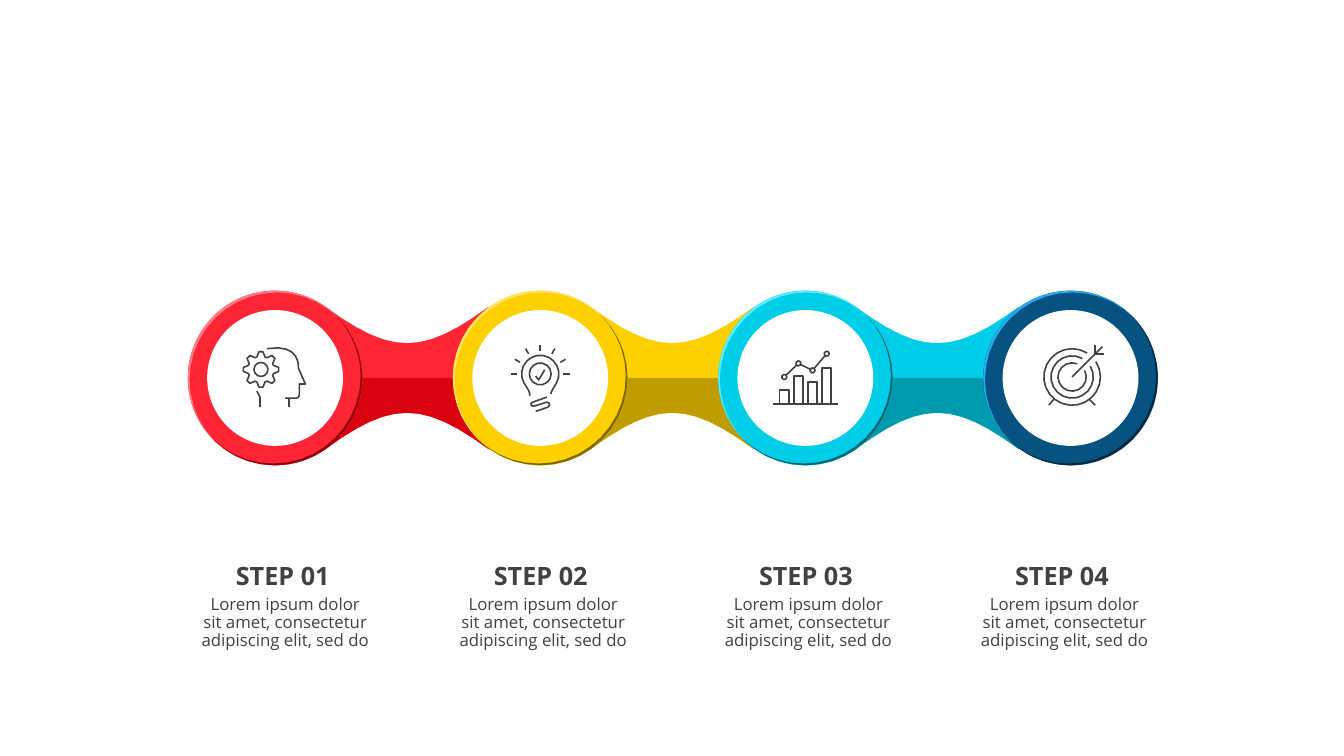
"""Build a slide with four linked ring steps, their icons and captions."""
from dataclasses import dataclass
from math import acos, ceil, cos, degrees, hypot, radians, sin

from pptx import Presentation
from pptx.dml import color
from pptx.enum import shapes, text
from pptx.util import Pt

Point = tuple[float, float]
Path = list[Point]


@dataclass(frozen=True)
class Stroke:
    points: Path
    closed: bool = False


@dataclass(frozen=True)
class Step:
    title: str
    title_left: float
    base: str
    shade: str
    light: str
    link_shade: str | None
    icon: list[Stroke]


INK = "414042"
FONT = "Open Sans"
BODY = "Lorem ipsum dolor sit amet, consectetur adipiscing elit, sed do"
FIRST_X, PITCH, CENTER_Y = 196.5, 189.4, 270
RING_R, HOLE_R, RIM_SHIFT = 62.4, 48.5, 1.3
LINK_START, LINK_WIDTH, LINK_HALF = 36, 116.5, 50.8
FLATNESS = 0.2


def rgb(value: str) -> color.RGBColor:
    return color.RGBColor.from_string(value)


def polar(cx: float, cy: float, radius: float, angle: float) -> Point:
    return cx + radius * cos(radians(angle)), cy + radius * sin(radians(angle))


def arc(cx: float, cy: float, radius: float, start: float, end: float) -> Path:
    widest = 2 * degrees(acos(1 - FLATNESS / radius))
    count = ceil(abs(end - start) / widest)
    return [polar(cx, cy, radius, start + (end - start) * i / count) for i in range(count + 1)]


def bezier(a: Point, b: Point, c: Point, d: Point, count: int) -> Path:
    def at(t: float) -> Point:
        u = 1 - t
        weights = (u ** 3, 3 * u * u * t, 3 * u * t * t, t ** 3)
        x, y = (sum(w * p[axis] for w, p in zip(weights, (a, b, c, d))) for axis in (0, 1))
        return x, y

    return [at(i / count) for i in range(count + 1)]


def circle(cx: float, cy: float, radius: float) -> Stroke:
    return Stroke(arc(cx, cy, radius, 0, 360)[:-1], True)


def head_icon() -> list[Stroke]:
    gear_x, gear_y = -10.1, -6.1
    tooth = ((9.4, -18), (12.7, -6.5), (12.7, 6.5), (9.4, 18))
    gear = [polar(gear_x, gear_y, r, 45 * i + turn) for i in range(8) for r, turn in tooth]
    brow = (16.6, -7.2)
    face = bezier((-5.8, -20.9), (18.7, -25.2), brow, brow, 8)
    face += [(21.6, 4.3), (17.3, 4.3), (17.3, 12.2), (16.7, 13.8), (15.1, 14.4), (7.2, 14.4)]
    return [
        Stroke(face),
        Stroke([(10.1, 14.4), (10.1, 20.9)]),
        Stroke([(-10.8, 20.9), (-10.8, 13.7), (-13, 9.4)]),
        Stroke(gear, True),
        circle(gear_x, gear_y, 5),
    ]


def bulb_icon() -> list[Stroke]:
    middle = -2.9
    dome = arc(0, middle, 13.3, 150, 390)
    left = bezier((-7.6, 13), (-6.9, 10.8), (-8.3, 8.6), dome[0], 4)
    right = bezier(dome[-1], (9, 7.9), (7.6, 10.1), (7.6, 11.5), 4)
    rays = [Stroke([polar(0, middle, r, angle) for r in (16.6, 20.9)])
            for angle in range(180, 361, 30)]
    screw = [(4.7, 13.7), (-5.4, 17.3), (-6.6, 18.2), (-6.3, 19.7), (-4.7, 20.2),
             (4.7, 17.3), (6.2, 17.8), (6.8, 19.4), (5.4, 20.9), (-3.2, 23.8)]
    return [Stroke(left + dome[1:] + right[1:]), circle(0, middle, 7.8),
            Stroke([(-3.2, -1.4), (-1.1, 1.4), (3.2, -5.8)]), *rays, Stroke(screw)]


def growth_icon() -> list[Stroke]:
    floor, gap, bar_width, dot_r = 18.7, 10.1, 6.5, 1.8
    strokes = [Stroke([(-23.4, floor), (23.4, floor)])]
    for i, top in enumerate((8.6, -1.4, 2.9, -7.2)):
        left = -18.4 + gap * i
        right = left + bar_width
        strokes.append(Stroke([(left, top), (right, top), (right, floor), (left, floor)], True))
    dots = [(-15.1 + gap * i, y) for i, y in enumerate((-0.7, -10.4, -5.4, -17.3))]
    strokes += [circle(x, y, dot_r) for x, y in dots]
    for (x1, y1), (x2, y2) in zip(dots, dots[1:]):
        share = dot_r / hypot(x2 - x1, y2 - y1)
        dx, dy = (x2 - x1) * share, (y2 - y1) * share
        strokes.append(Stroke([(x1 + dx, y1 + dy), (x2 - dx, y2 - dy)]))
    return strokes


def target_icon() -> list[Stroke]:
    cx, cy = 1.1, -0.7
    rings = ((20.2, -33, 302), (15.1, -31, 299), (10.1, -27, 291))
    return [Stroke(arc(cx, cy, *ring)) for ring in rings] + [
        Stroke([(cx, cy), (22.7, -22.3)]),
        Stroke([(17.6, -23.8), (17.6, -17.3), (24.1, -17.3)]),
        Stroke([(-15.5, 19.4), (-11.9, 15.1)]),
        Stroke([(13.3, 15.1), (17.6, 19.4)]),
    ]


def paint(shape, fill: str) -> None:
    shape.shadow.inherit = False
    shape.fill.solid()
    shape.fill.fore_color.rgb = rgb(fill)
    shape.line.fill.background()


def draw_strokes(slide, strokes: list[Stroke], cx: float):
    placed = [([(Pt(cx + x), Pt(CENTER_Y + y)) for x, y in s.points], s.closed) for s in strokes]
    builder = slide.shapes.build_freeform(*placed[0][0][0])
    for i, (points, closed) in enumerate(placed):
        if i:
            builder.move_to(*points[0])
        builder.add_line_segments(points[1:], close=closed)
    return builder.convert_to_shape()


def draw_area(slide, points: Path, cx: float, fill: str) -> None:
    paint(draw_strokes(slide, [Stroke(points, True)], cx), fill)


def draw_disc(slide, cx: float, radius: float, fill: str) -> None:
    disc = slide.shapes.add_shape(shapes.MSO_SHAPE.OVAL, Pt(cx - radius), Pt(CENTER_Y - radius),
                                  Pt(2 * radius), Pt(2 * radius))
    paint(disc, fill)


def draw_link(slide, step: Step, cx: float) -> None:
    start, end = LINK_START, LINK_START + LINK_WIDTH
    lower = bezier((start, LINK_HALF), (start + 47.5, 16.2), (end - 47.5, 16.2),
                   (end, LINK_HALF), 12)
    upper = [(x, -y) for x, y in reversed(lower)]
    draw_area(slide, lower + upper, cx, step.base)
    draw_area(slide, lower + [(end, 0), (start, 0)], cx, step.link_shade)


def draw_ring(slide, step: Step, cx: float) -> None:
    draw_disc(slide, cx, RING_R, step.base)
    for start, shift, fill in ((-45, -RIM_SHIFT, step.shade), (135, RIM_SHIFT, step.light)):
        outer = arc(0, 0, RING_R, start, start + 180)
        inner = arc(shift, shift, RING_R, start + 180, start)
        draw_area(slide, outer + inner, cx, fill)
    draw_disc(slide, cx, HOLE_R, "FFFFFF")


def draw_icon(slide, step: Step, cx: float) -> None:
    icon = draw_strokes(slide, step.icon, cx)
    icon.shadow.inherit = False
    icon.fill.background()
    icon.line.color.rgb = rgb(INK)
    icon.line.width = Pt(1.13)


def draw_caption(slide, words: str, left: float, top: float, width: float, height: float,
                 size: float, bold: bool) -> None:
    frame = slide.shapes.add_textbox(Pt(left), Pt(top), Pt(width), Pt(height)).text_frame
    frame.word_wrap = True
    frame.auto_size = text.MSO_AUTO_SIZE.TEXT_TO_FIT_SHAPE
    frame.text = words
    paragraph = frame.paragraphs[0]
    paragraph.alignment = text.PP_ALIGN.CENTER
    paragraph.line_spacing = 0.9
    paragraph.space_before = Pt(10)
    font = paragraph.runs[0].font
    font.name, font.size, font.bold = FONT, Pt(size), bold
    font.color.rgb = rgb(INK)


def main() -> None:
    steps = [
        Step("STEP 01", 133.9, "FE2635", "91010B", "FE7D86", "DA0110", head_icon()),
        Step("STEP 02", 318.2, "FFD000", "806800", "FFE366", "BF9C00", bulb_icon()),
        Step("STEP 03", 507.6, "00CEE8", "006774", "58ECFF", "009AAE", growth_icon()),
        Step("STEP 04", 690.5, "065381", "032940", "28A8F5", None, target_icon()),
    ]
    deck = Presentation()
    deck.slide_width, deck.slide_height = Pt(960), Pt(540)
    slide = deck.slides.add_slide(deck.slide_layouts[6])
    placed = [(step, FIRST_X + PITCH * i) for i, step in enumerate(steps)]
    for step, cx in reversed(placed):
        if step.link_shade:
            draw_link(slide, step, cx)
    for step, cx in reversed(placed):
        draw_ring(slide, step, cx)
    for step, cx in placed:
        draw_icon(slide, step, cx)
        draw_caption(slide, BODY, step.title_left + 2.2, 421.9, 135.4, 58.3, 12, False)
        draw_caption(slide, step.title, step.title_left, 398.9, 136.1, 29.5, 18, True)
    deck.save("out.pptx")


if __name__ == "__main__":
    main()
